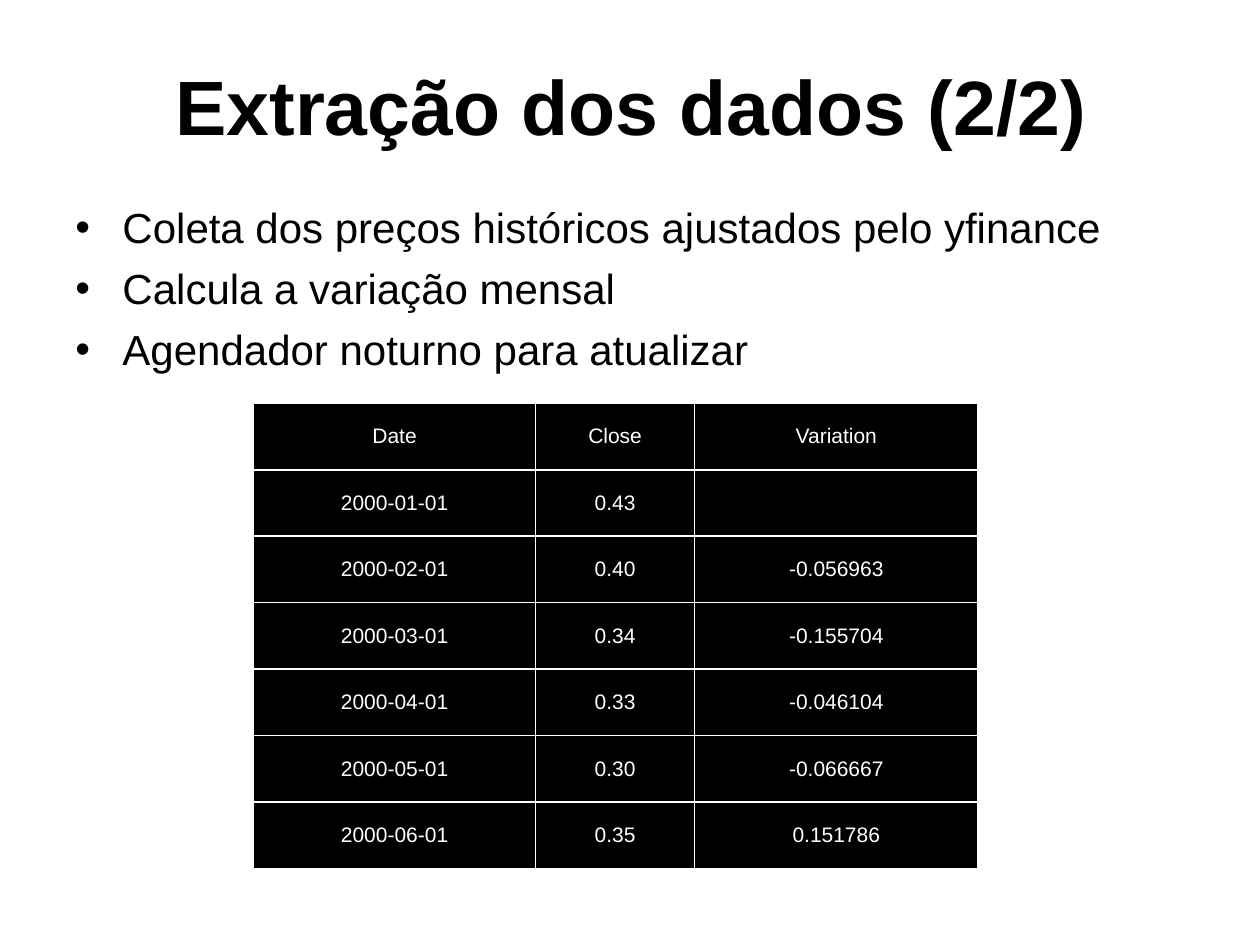
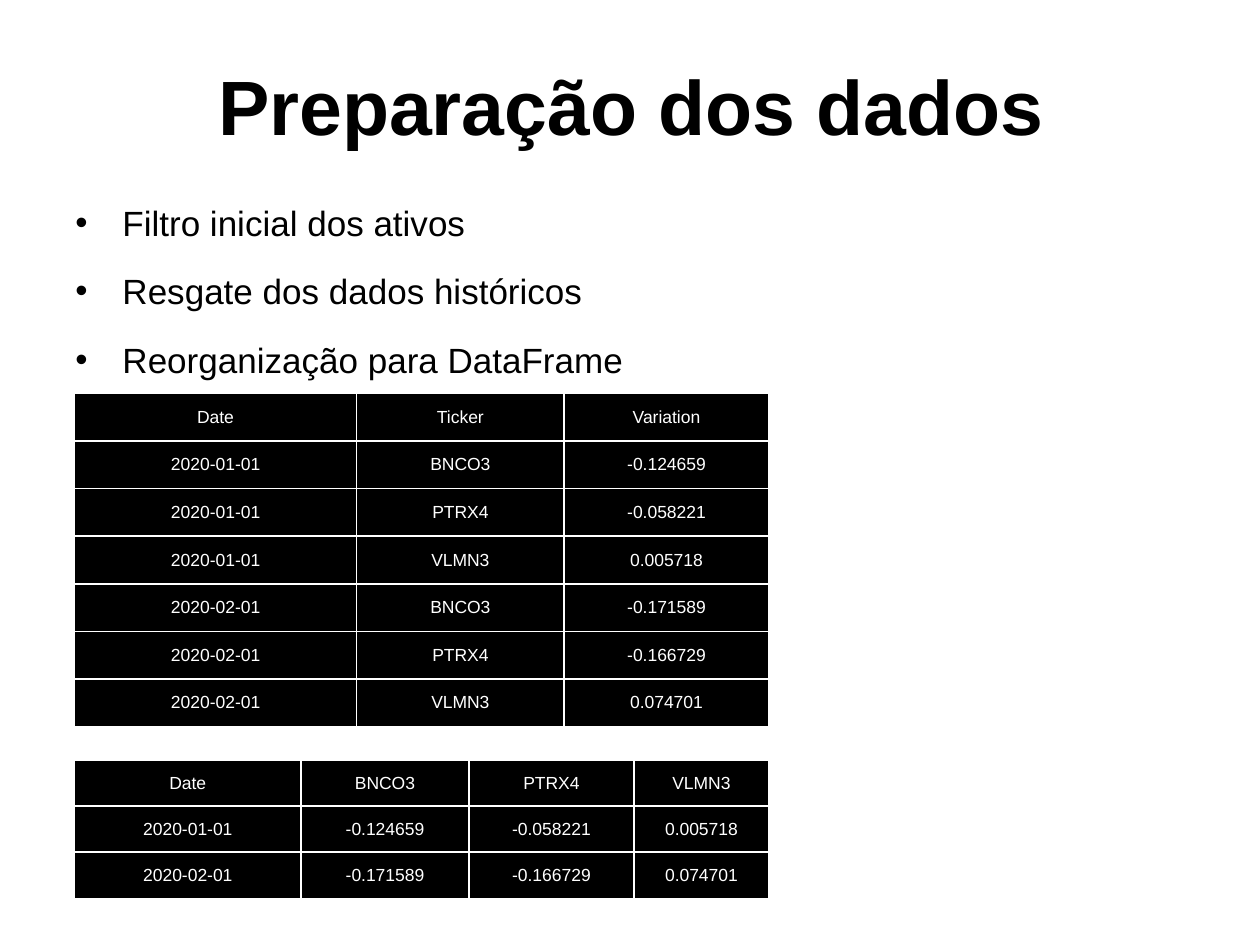
from lxml import etree
from pptx import Presentation
from pptx.dml.color import RGBColor
from pptx.enum.text import MSO_ANCHOR, PP_ALIGN
from pptx.oxml.ns import qn
from pptx.util import Cm, Pt

LEFT, CENTER = PP_ALIGN.LEFT, PP_ALIGN.CENTER
MIDDLE = MSO_ANCHOR.MIDDLE
FONT = "Arial"
COLORS = {"ink": "000000", "cell": "000000", "paper": "FFFFFF"}

# Boxes in centimetres: left, top, width, height
TITLE_BOX = (1.3, 0.53, 22.86, 3.18)
BODY_BOX = (1.27, 3.94, 22.86, 13)
BULLET_INDENT = 0.95

PRICES = [
    ("Date", "Close", "Variation"),
    ("2000-01-01", "0.43", ""),
    ("2000-02-01", "0.40", "-0.056963"),
    ("2000-03-01", "0.34", "-0.155704"),
    ("2000-04-01", "0.33", "-0.046104"),
    ("2000-05-01", "0.30", "-0.066667"),
    ("2000-06-01", "0.35", "0.151786"),
]
TICKERS = ("BNCO3", "PTRX4", "VLMN3")
VARIATIONS = {
    "2020-01-01": ("-0.124659", "-0.058221", "0.005718"),
    "2020-02-01": ("-0.171589", "-0.166729", "0.074701"),
}
LONG_ROWS = [("Date", "Ticker", "Variation")] + [
    (date, ticker, value)
    for date, values in VARIATIONS.items()
    for ticker, value in zip(TICKERS, values)
]
WIDE_ROWS = [("Date", *TICKERS)] + [
    (date, *values) for date, values in VARIATIONS.items()
]


def style_paragraph(p, size, color, align, bold=False):
    p.alignment = align
    for r in p.runs:
        r.font.name = FONT
        r.font.size = Pt(size)
        r.font.bold = bold
        r.font.color.rgb = RGBColor.from_string(COLORS[color])


def add_text_box(slide, box):
    tf = slide.shapes.add_textbox(*map(Cm, box)).text_frame
    tf.word_wrap = True
    return tf


def add_title(slide, text):
    tf = add_text_box(slide, TITLE_BOX)
    tf.vertical_anchor = MIDDLE
    tf.text = text
    style_paragraph(tf.paragraphs[0], 44, "ink", CENTER, bold=True)


def add_bullets(slide, lines, size, gap):
    tf = add_text_box(slide, BODY_BOX)
    tf.text = "\n".join(lines)
    for i, p in enumerate(tf.paragraphs):
        pPr = p._p.get_or_add_pPr()
        pPr.set("marL", str(Cm(BULLET_INDENT)))
        pPr.set("indent", str(-Cm(BULLET_INDENT)))
        etree.SubElement(pPr, qn("a:buFont"), typeface=FONT)
        etree.SubElement(pPr, qn("a:buChar"), char="•")
        p.space_before = Pt(gap if i else 0)
        style_paragraph(p, size, "ink", LEFT)


def add_borders(cell):
    tcPr = cell._tc.get_or_add_tcPr()
    for side in "LRTB":
        ln = etree.SubElement(tcPr, qn(f"a:ln{side}"), w=str(Pt(1)))
        fill = etree.SubElement(ln, qn("a:solidFill"))
        etree.SubElement(fill, qn("a:srgbClr"), val=COLORS["paper"])


def add_data_table(slide, rows, left, top, widths, row_height, size):
    table = slide.shapes.add_table(
        len(rows), len(widths), Cm(left), Cm(top),
        Cm(sum(widths)), Cm(row_height * len(rows))).table
    for column, width in zip(table.columns, widths):
        column.width = Cm(width)
    for row, values in zip(table.rows, rows):
        row.height = Cm(row_height)
        for cell, value in zip(row.cells, values):
            add_borders(cell)
            cell.fill.solid()
            cell.fill.fore_color.rgb = RGBColor.from_string(COLORS["cell"])
            cell.vertical_anchor = MIDDLE
            cell.margin_left = cell.margin_right = Cm(0.13)
            cell.margin_top = cell.margin_bottom = 0
            cell.text = value
            style_paragraph(cell.text_frame.paragraphs[0], size, "paper", CENTER)


def add_slide(prs, title, bullets, size, gap):
    slide = prs.slides.add_slide(prs.slide_layouts[6])
    add_title(slide, title)
    add_bullets(slide, bullets, size, gap)
    return slide


def build_extraction(prs):
    slide = add_slide(prs, "Extração dos dados (2/2)", [
        "Coleta dos preços históricos ajustados pelo yfinance",
        "Calcula a variação mensal",
        "Agendador noturno para atualizar",
    ], size=24, gap=6)
    add_data_table(slide, PRICES, 5.11, 8.13, (5.69, 3.2, 5.72), 1.34, 12)


def build_preparation(prs):
    slide = add_slide(prs, "Preparação dos dados", [
        "Filtro inicial dos ativos",
        "Resgate dos dados históricos",
        "Reorganização para DataFrame",
    ], size=20, gap=15)
    add_data_table(slide, LONG_ROWS, 1.5, 7.93, (5.69, 4.18, 4.13), 0.96, 10)
    add_data_table(slide, WIDE_ROWS, 1.5, 15.32, (4.57, 3.38, 3.33, 2.72), 0.93, 10)


def main():
    prs = Presentation()
    prs.slide_width, prs.slide_height = Cm(25.4), Cm(19.05)
    build_extraction(prs)
    build_preparation(prs)
    prs.save("out.pptx")


if __name__ == "__main__":
    main()
